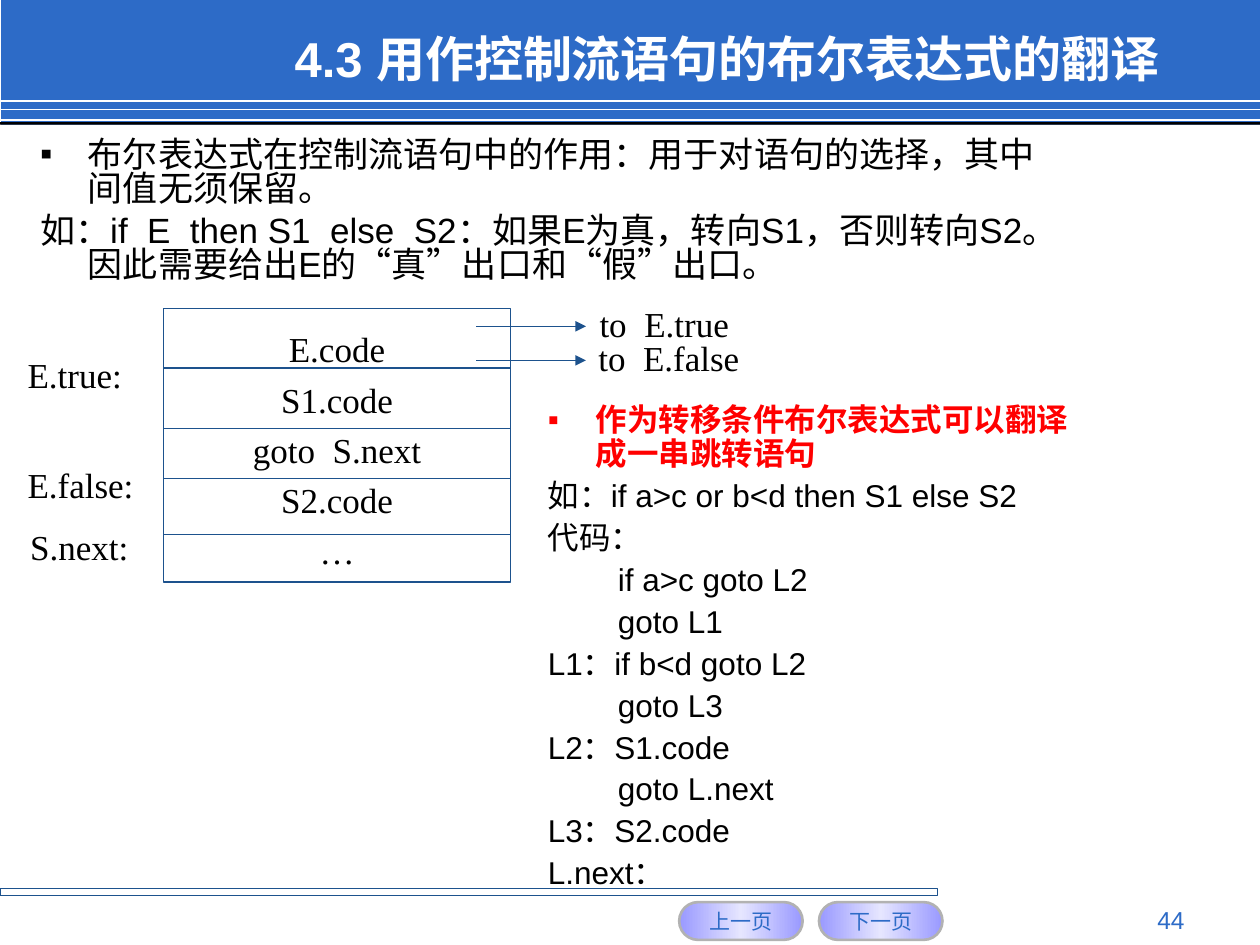
from copy import deepcopy

from pptx import Presentation
from pptx.dml.color import RGBColor
from pptx.enum.shapes import MSO_CONNECTOR, MSO_SHAPE
from pptx.enum.text import MSO_ANCHOR, PP_ALIGN
from pptx.oxml.ns import qn
from pptx.oxml.xmlchemy import OxmlElement
from pptx.util import Inches, Pt

COLORS = {
    "banner": "2D6BC7", "rule": "1D528D", "white": "FFFFFF", "black": "000000",
    "red": "FF0000", "button_edge": "B2B2B2", "button_side": "9999FF",
    "button_middle": "E6E6FF",
}
UNIT = Inches(0.1)
COLUMNS, ROWS = 100, 75

TITLE = "4.3 用作控制流语句的布尔表达式的翻译"
PAGE = "44"
BUTTONS = ["上一页", "下一页"]
PURPOSE = [
    "布尔表达式在控制流语句中的作用：用于对语句的选择，其中间值无须保留。",
    "如：if  E  then S1  else  S2：如果E为真，转向S1，否则转向S2。因此需要给出E的“真”出口和“假”出口。",
]
JUMPS = [
    "作为转移条件布尔表达式可以翻译成一串跳转语句",
    "如：if a>c or b<d then S1 else S2",
    "代码：",
    "        if a>c goto L2",
    "        goto L1",
    "L1：if b<d goto L2",
    "        goto L3",
    "L2：S1.code",
    "        goto L.next",
    "L3：S2.code",
    "L.next：",
]
BLOCKS = ["E.code", "S1.code", "goto  S.next", "S2.code", "…"]
BANNER_ROWS = [8, 8.7, 9.5]
DIVIDER_ROWS = [29.2, 34, 38, 42.4]
EXIT_ROWS = [25.9, 28.6]
LABELS = [
    ("to  E.true", 46.6, 23.5, 16.5), ("to  E.false", 46.5, 26.2, 16.5),
    ("E.true:", 1.2, 27.6, 11.8), ("E.false:", 1.2, 36.3, 11.8),
    ("S.next:", 1.4, 41.2, 11.8),
]
STACK_LEFT, STACK_TOP, STACK_WIDTH, STACK_HEIGHT = 13, 24.5, 27.5, 21.7


def grid(*cells):
    return [round(cell * UNIT) for cell in cells]


def color(name):
    return RGBColor.from_string(COLORS[name])


def add_box(shapes, at, fill=None, edge=None, width=0.75, kind=MSO_SHAPE.RECTANGLE):
    box = shapes.add_shape(kind, *grid(*at))
    box.shadow.inherit = False
    if fill:
        box.fill.solid()
        box.fill.fore_color.rgb = color(fill)
    else:
        box.fill.background()
    if edge:
        box.line.color.rgb = color(edge)
        box.line.width = Pt(width)
    else:
        box.line.fill.background()
    return box


def add_rule(shapes, left, right, row, ink, width, arrow=False):
    rule = shapes.add_connector(MSO_CONNECTOR.STRAIGHT, *grid(left, row, right, row))
    rule.line.color.rgb = color(ink)
    rule.line.width = Pt(width)
    if arrow:
        head = OxmlElement("a:tailEnd")
        head.set("type", "triangle")
        rule.line._get_or_add_ln().append(head)
    rule._element.spPr.append(OxmlElement("a:effectLst"))


def write(box, lines, size, ink="black", font="Arial", bold=False,
          align=PP_ALIGN.LEFT, anchor=MSO_ANCHOR.TOP, spacing=None, wrap=True):
    frame = box.text_frame
    frame.text = "\n".join(lines)
    frame.word_wrap = wrap
    frame.vertical_anchor = anchor
    for paragraph in frame.paragraphs:
        paragraph.alignment = align
        paragraph.line_spacing = spacing
        for run in paragraph.runs:
            run.font.size = Pt(size)
            run.font.name = font
            run.font.bold = bold
            run.font.color.rgb = color(ink)
    return frame.paragraphs


def add_outline(shapes, at, lines, size, spacing, before, lead_ink, lead_bold):
    paragraphs = write(shapes.add_textbox(*grid(*at)), lines, size, spacing=spacing)
    for index, paragraph in enumerate(paragraphs):
        properties = paragraph._p.get_or_add_pPr()
        properties.set("marL", str(Inches(0.38)))
        properties.set("indent", str(-Inches(0.38)))
        if index:
            paragraph.space_before = Pt(before)
    lead = paragraphs[0]
    for tag, key, value in [("a:buFont", "typeface", "Arial"), ("a:buChar", "char", "▪")]:
        bullet = OxmlElement(tag)
        bullet.set(key, value)
        lead._p.get_or_add_pPr().append(bullet)
    for run in lead.runs:
        run.font.color.rgb = color(lead_ink)
        run.font.bold = lead_bold


def add_button(shapes, left, label):
    button = add_box(shapes, (left, 71.6, 9.8, 3), None, "button_edge", 1.5,
                     MSO_SHAPE.ROUNDED_RECTANGLE)
    button.adjustments[0] = 0.5
    button.fill.gradient()
    button.fill.gradient_angle = 0
    stops = button._element.spPr.find(".//" + qn("a:gsLst"))
    stops.insert(1, deepcopy(stops[0]))
    tints = ["button_side", "button_middle", "button_side"]
    for index, (stop, tint) in enumerate(zip(button.fill.gradient_stops, tints)):
        stop.color.rgb = color(tint)
        stop.position = index / 2
    write(button, [label], 12, "banner", align=PP_ALIGN.CENTER,
          anchor=MSO_ANCHOR.MIDDLE, wrap=False)


def main():
    """Build the slide on translating Boolean expressions for control flow."""
    deck = Presentation()
    deck.slide_width, deck.slide_height = grid(COLUMNS, ROWS)
    shapes = deck.slides.add_slide(deck.slide_layouts[6]).shapes

    add_box(shapes, (0.1, 0, COLUMNS - 0.1, 9.9), "banner")
    for row in BANNER_ROWS:
        add_rule(shapes, 0, COLUMNS, row, "white", 1)
    add_box(shapes, (0, 9.7, COLUMNS, 0.2), "black")
    add_box(shapes, (0, 70.5, 74.4, 0.6), None, "rule")
    for index, label in enumerate(BUTTONS):
        add_button(shapes, 53.9 + 11.1 * index, label)
    write(shapes.add_textbox(*grid(71.7, 71.3, 23.3, 2.7)), [PAGE], 14, "banner",
          align=PP_ALIGN.RIGHT)
    write(shapes.add_textbox(*grid(22.4, 1.7, 77.6, 5.8)), [TITLE], 28, "white",
          bold=True, anchor=MSO_ANCHOR.MIDDLE)
    add_outline(shapes, (2.2, 10.7, 83.3, 13.8), PURPOSE, 20, 0.8, 5, "black", False)

    stack = add_box(shapes, (STACK_LEFT, STACK_TOP, STACK_WIDTH, STACK_HEIGHT),
                    None, "rule")
    write(stack, BLOCKS, 20, font="Times New Roman", align=PP_ALIGN.CENTER,
          anchor=MSO_ANCHOR.MIDDLE, spacing=1.2, wrap=False)
    for row in DIVIDER_ROWS:
        add_rule(shapes, STACK_LEFT, STACK_LEFT + STACK_WIDTH, row, "rule", 0.75)
    for row in EXIT_ROWS:
        add_rule(shapes, 37.8, 46.5, row, "rule", 0.75, arrow=True)
    for label, left, top, width in LABELS:
        write(shapes.add_textbox(*grid(left, top, width, 4.4)), [label], 20,
              font="Times New Roman")

    add_outline(shapes, (42.5, 31.6, 44.9, 39.8), JUMPS, 18, 0.9, 4.5, "red", True)
    deck.save("out.pptx")


if __name__ == "__main__":
    main()
